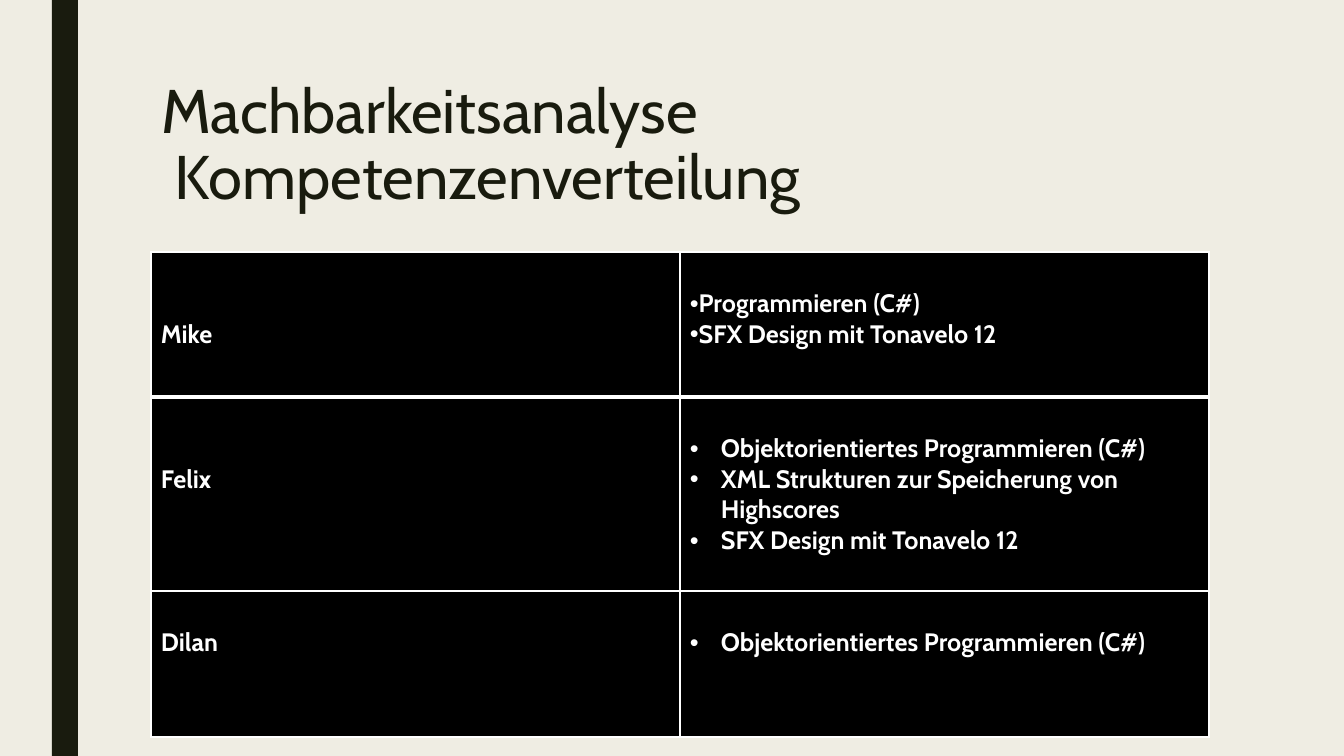
from lxml.etree import SubElement
from pptx import Presentation
from pptx.dml.color import RGBColor
from pptx.enum.shapes import MSO_SHAPE as SHAPE
from pptx.enum.text import MSO_ANCHOR as ANCHOR, MSO_AUTO_SIZE as AUTO, PP_ALIGN as ALIGN
from pptx.oxml.ns import qn
from pptx.util import Emu, Pt

FONT = "Cabin"
DARK, CREAM, WHITE, BLACK = "191B0E", "EFEDE3", "FFFFFF", "000000"
LINE_H = 31  # height of one table text line
INSET_X, INSET_Y = 10, 5

# name, lines above name, skills, bullet indent, row height
CODING = "Objektorientiertes Programmieren (C#)"
SOUND = "SFX Design mit Tonavelo 12"
TEAM = [
    ("Mike", 2, ["Programmieren (C#)", SOUND], 0, 145),
    ("Felix", 2, [CODING, "XML Strukturen zur Speicherung von Highscores", SOUND], 31, 194),
    ("Dilan", 1, [CODING], 31, 146),
]


def px(n):
    return Emu(round(n * 914400 / 100.8))


def rgb(color):
    return RGBColor.from_string(color)


def place(sp, box):
    sp.left, sp.top, sp.width, sp.height = map(px, box)


def style(p, size, color, bold=False):
    for r in p.runs:
        f = r.font
        f.name, f.size, f.bold = FONT, Pt(size), bold
        f.color.rgb = rgb(color)


def set_margins(target, top=INSET_Y):
    target.margin_left = target.margin_right = px(INSET_X)
    target.margin_top, target.margin_bottom = px(top), px(INSET_Y)


def add_side_bar(slide, box):
    sp = slide.shapes.add_shape(SHAPE.RECTANGLE, *map(px, box))
    sp.shadow.inherit = False
    sp.fill.solid()
    sp.fill.fore_color.rgb = rgb(DARK)
    sp.line.fill.background()


def add_title(slide, box, text):
    sp = slide.shapes.title
    place(sp, box)
    tf = sp.text_frame
    tf.text = text
    tf.word_wrap, tf.auto_size, tf.vertical_anchor = True, AUTO.NONE, ANCHOR.TOP
    set_margins(tf)
    p = tf.paragraphs[0]
    p.alignment, p.line_spacing = ALIGN.LEFT, 0.89
    style(p, 44, DARK)


def set_borders(cell, top, bottom):
    tc_pr = cell._tc.get_or_add_tcPr()
    for side, width in (("L", 1), ("R", 1), ("T", top), ("B", bottom)):
        ln = SubElement(tc_pr, qn("a:ln" + side), w=str(Pt(width)))
        SubElement(SubElement(ln, qn("a:solidFill")), qn("a:srgbClr"), val=WHITE)


def set_bullet(p, indent):
    p_pr = p._p.get_or_add_pPr()
    p_pr.set("marL", str(px(indent)))
    p_pr.set("indent", str(-px(indent)))
    SubElement(p_pr, qn("a:buFont"), typeface="Arial")
    SubElement(p_pr, qn("a:buChar"), char="•")


def fill_cell(cell, lines, lines_above, indent=None):
    cell.fill.solid()
    cell.fill.fore_color.rgb = rgb(BLACK)
    set_margins(cell, INSET_Y + lines_above * LINE_H)
    cell.text_frame.text = "\n".join(lines)
    for p in cell.text_frame.paragraphs:
        if indent is not None:
            set_bullet(p, indent)
        style(p, 18, WHITE, bold=True)


def add_skills_table(slide, box):
    table = slide.shapes.add_table(len(TEAM), 2, *map(px, box)).table
    for col in table.columns:
        col.width = px(box[2] / 2)
    for i, (name, lines_above, skills, indent, height) in enumerate(TEAM):
        table.rows[i].height = px(height)
        for cell in table.rows[i].cells:
            # Heavy rule below the first row
            set_borders(cell, 3 if i == 1 else 1, 3 if i == 0 else 1)
        fill_cell(table.cell(i, 0), [name], lines_above)
        fill_cell(table.cell(i, 1), skills, 1, indent)


def build_skills_slide(prs, box):
    x, y, w, h = box
    slide = prs.slides.add_slide(prs.slide_layouts[5])
    slide.background.fill.solid()
    slide.background.fill.fore_color.rgb = rgb(CREAM)
    add_side_bar(slide, (x + 52, y, 26, h))
    add_title(slide, (x + 151, y + 76, 1058, 163),
              "Machbarkeitsanalyse\v\u00a0Kompetenzenverteilung")
    add_skills_table(slide, (x + 151, y + 252, 1058, sum(row[-1] for row in TEAM)))


prs = Presentation()
prs.slide_width, prs.slide_height = px(1344), px(756)
build_skills_slide(prs, (0, 0, 1344, 756))
prs.save("out.pptx")
